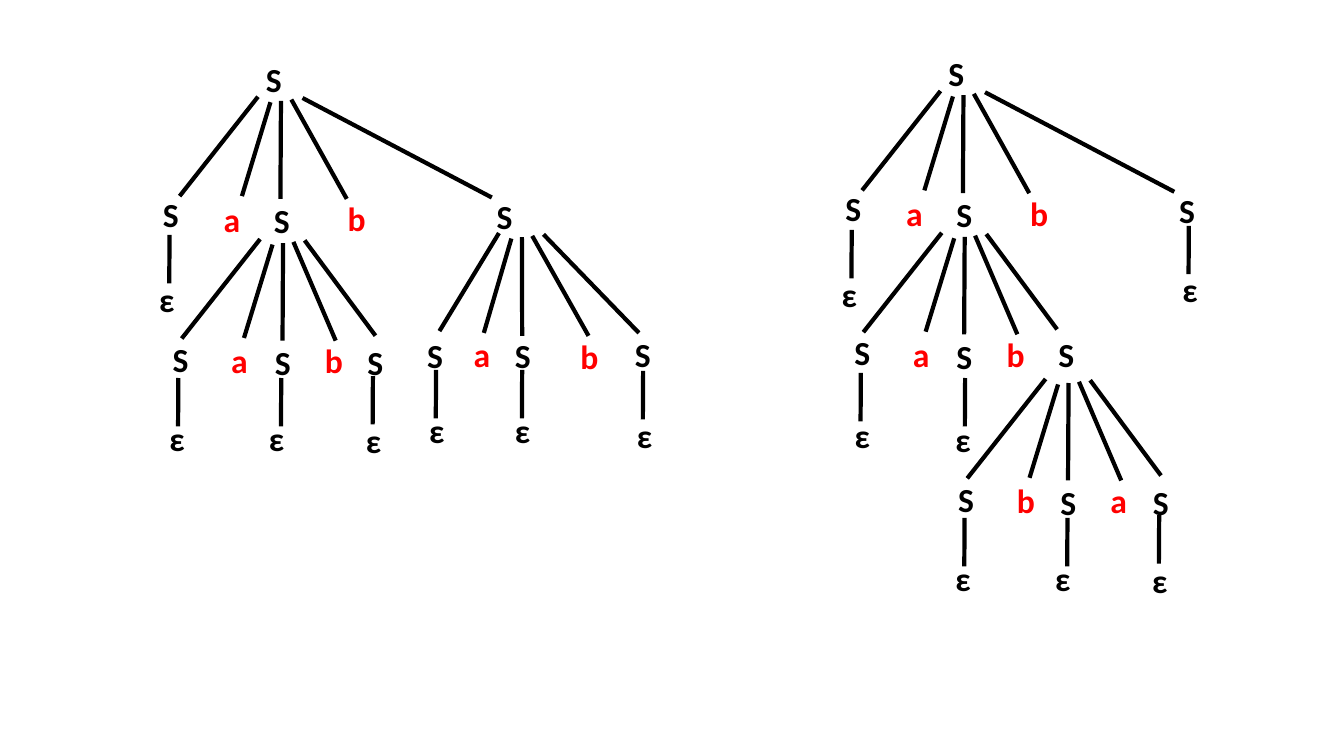
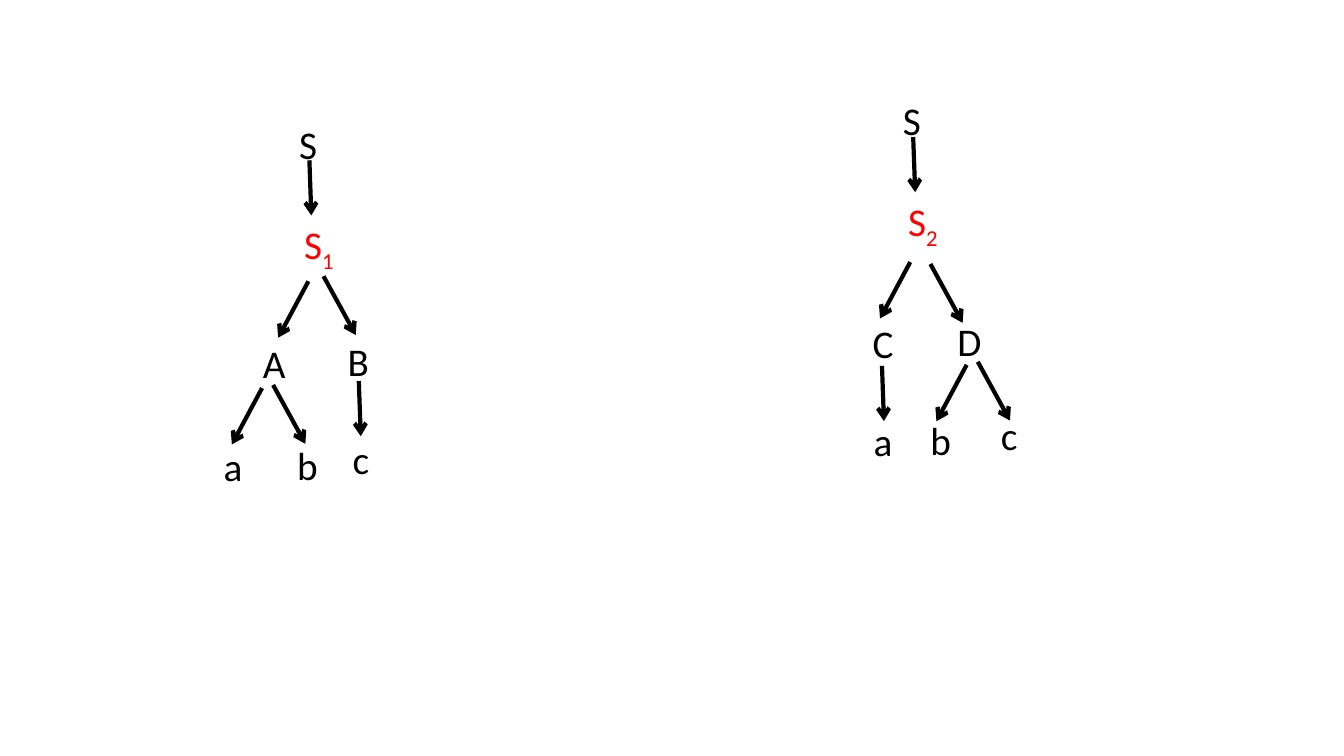
from lxml import etree
from pptx import Presentation
from pptx import util as u
from pptx.dml import color
from pptx.enum import shapes, text
from pptx.oxml import ns

BLACK, RED = "000000", "FF0000"

FAN_STARTS = [(0, 0), (8.9, 3.9), (16.4, 2.9), (23.8, 2), (31.8, 0.9)]
WIDE = {
    "ends": [(-56, 71), (-11.5, 71), (16, 73), (63.4, 73), (167, 72)],
    "labels": [(-75, 66), (-31.7, 69.5), (4.3, 70), (56.9, 69), (163.4, 67)],
}
MEDIUM = {
    "ends": [(-42.5, 70), (-10.8, 71.3), (16.6, 73.4), (64, 73.4), (100, 71.3)],
    "labels": [(-58.3, 69), (-25.2, 68.4), (4.3, 69), (51.1, 69.8), (90, 68.4)],
}
NARROW = {
    "ends": [(-56, 71), (-11.5, 70.6), (16, 72.5), (54, 72.5), (82.4, 69)],
    "labels": [(-69.5, 67.5), (-27.7, 68.4), (3.4, 70), (39.2, 68.4), (69.5, 70)],
}
NESTED = {
    "ends": NARROW["ends"],
    "labels": NARROW["labels"][:4] + [(76.3, 68.4)],
}

ROOTS = [(182.9, 38.9), (670.3, 34.6)]
EXPANSIONS = [
    (184.3, 69.1, "SaSbS", WIDE),
    (185.8, 170.8, "SaSbS", NARROW),
    (356.4, 166.5, "SaSbS", MEDIUM),
    (671.8, 65, "SaSbS", WIDE),
    (672.7, 166.3, "SaSbS", NESTED),
    (746.9, 270.7, "SbSaS", NARROW),
]
EMPTY_LEAVES = [
    (121.1, 167.8, 106.6, 195.8),
    (127.4, 270, 113.8, 295.2),
    (200.9, 270, 185, 295.2),
    (266.4, 268.6, 254.2, 296.6),
    (311.5, 264.2, 299.5, 289.4),
    (373, 264.2, 360.7, 289.4),
    (459.4, 265, 447.8, 293),
    (608.4, 164.2, 594, 192.2),
    (614.9, 266.4, 603.4, 293),
    (689.4, 270, 675.4, 295.9),
    (849.2, 161.3, 837.4, 188.6),
    (689, 370, 675.4, 395.3),
    (762.5, 370, 746.6, 395.3),
    (828, 368, 815.8, 396.7),
]

DOWN, DOWN_LEFT, DOWN_RIGHT = (1.4, 39.4), (-21.6, 40.3), (23, 42)
DERIVATIONS = [
    {
        "start": (206.6, 82.1), "index": "1",
        "branches": [(220.3, 200.9), (231.1, 197.3)],
        "pair": (187.2, 277.2), "single": (256.3, 272.2),
        "symbols": [("A", 180.7, 239), ("B", 241.2, 237.6),
                    ("a", 152.6, 312.5), ("b", 205.2, 311.8), ("c", 244.8, 307.4)],
    },
    {
        "start": (637.9, 65.5), "index": "2",
        "branches": [(650.2, 187.2), (664.6, 188.6)],
        "pair": (690.5, 260.6), "single": (630, 261.4),
        "symbols": [("C", 616.3, 224.6), ("D", 676.8, 223.2),
                    ("a", 617, 294.5), ("b", 657.4, 293.8), ("c", 707.8, 290.2)],
    },
]


def rgb(code):
    return color.RGBColor.from_string(code)


class TreeDeck:
    """Draws parse trees in one style on the current slide."""

    font_name = "Calibri"
    line_width = 3

    def __init__(self):
        self.deck = Presentation()
        self.deck.slide_width, self.deck.slide_height = u.Pt(960), u.Pt(540)

    def new_slide(self, size, bold):
        self.slide = self.deck.slides.add_slide(self.deck.slide_layouts[6])
        self.size, self.bold = size, bold

    def symbol(self, letter, x, y, ink=BLACK, width=36, wrap=True, index=""):
        box = self.slide.shapes.add_textbox(
            u.Pt(x), u.Pt(y), u.Pt(width), u.Pt(self.size * 1.2 + 7.2))
        frame = box.text_frame
        frame.word_wrap = wrap
        frame.auto_size = text.MSO_AUTO_SIZE.SHAPE_TO_FIT_TEXT
        paragraph = frame.paragraphs[0]
        font = paragraph.font
        font.name, font.size, font.bold = self.font_name, u.Pt(self.size), self.bold
        font.color.rgb = rgb(ink)
        paragraph.add_run().text = letter
        if index:
            subscript = paragraph.add_run()
            subscript.text = index
            subscript.font._element.set("baseline", "-25000")

    def edge(self, start, end, arrow=False):
        line = self.slide.shapes.add_connector(
            shapes.MSO_CONNECTOR.STRAIGHT, *(u.Pt(value) for value in (*start, *end)))
        line.line.width = u.Pt(self.line_width)
        line.line.color.rgb = rgb(BLACK)
        if arrow:
            etree.SubElement(line.line._get_or_add_ln(), ns.qn("a:tailEnd"), type="arrow")
        etree.SubElement(line._element.spPr, ns.qn("a:effectLst"))

    def arrow(self, start, step):
        self.edge(start, (start[0] + step[0], start[1] + step[1]), arrow=True)

    def expansion(self, x, y, letters, fan):
        for letter, start, end, label in zip(letters, FAN_STARTS, fan["ends"], fan["labels"]):
            self.edge((x + start[0], y + start[1]), (x + end[0], y + end[1]))
            self.symbol(letter, x + label[0], y + label[1], BLACK if letter == "S" else RED)

    def empty_leaf(self, stem_x, stem_y, x, y):
        self.edge((stem_x, stem_y), (stem_x - 0.2, stem_y + 34.6))
        self.symbol("ε", x, y, width=25.2, wrap=False)

    def derivation(self, start, index, branches, pair, single, symbols):
        x, y = start
        self.symbol("S", x, y)
        self.arrow((x + 14.4, y + 32.4), DOWN)
        self.symbol("S", x + 3.6, y + 72, RED, width=51, index=index)
        pair_right = (pair[0] + 7.9, pair[1] - 2.2)
        for left, right in (branches, (pair, pair_right)):
            self.arrow(left, DOWN_LEFT)
            self.arrow(right, DOWN_RIGHT)
        self.arrow(single, DOWN)
        for letter, left, top in symbols:
            self.symbol(letter, left, top, width=26)


def main():
    trees = TreeDeck()
    trees.new_slide(size=24, bold=True)
    for root in ROOTS:
        trees.symbol("S", *root)
    for expansion in EXPANSIONS:
        trees.expansion(*expansion)
    for leaf in EMPTY_LEAVES:
        trees.empty_leaf(*leaf)

    trees.new_slide(size=28, bold=False)
    for derivation in DERIVATIONS:
        trees.derivation(**derivation)
    trees.deck.save("out.pptx")


if __name__ == "__main__":
    main()
